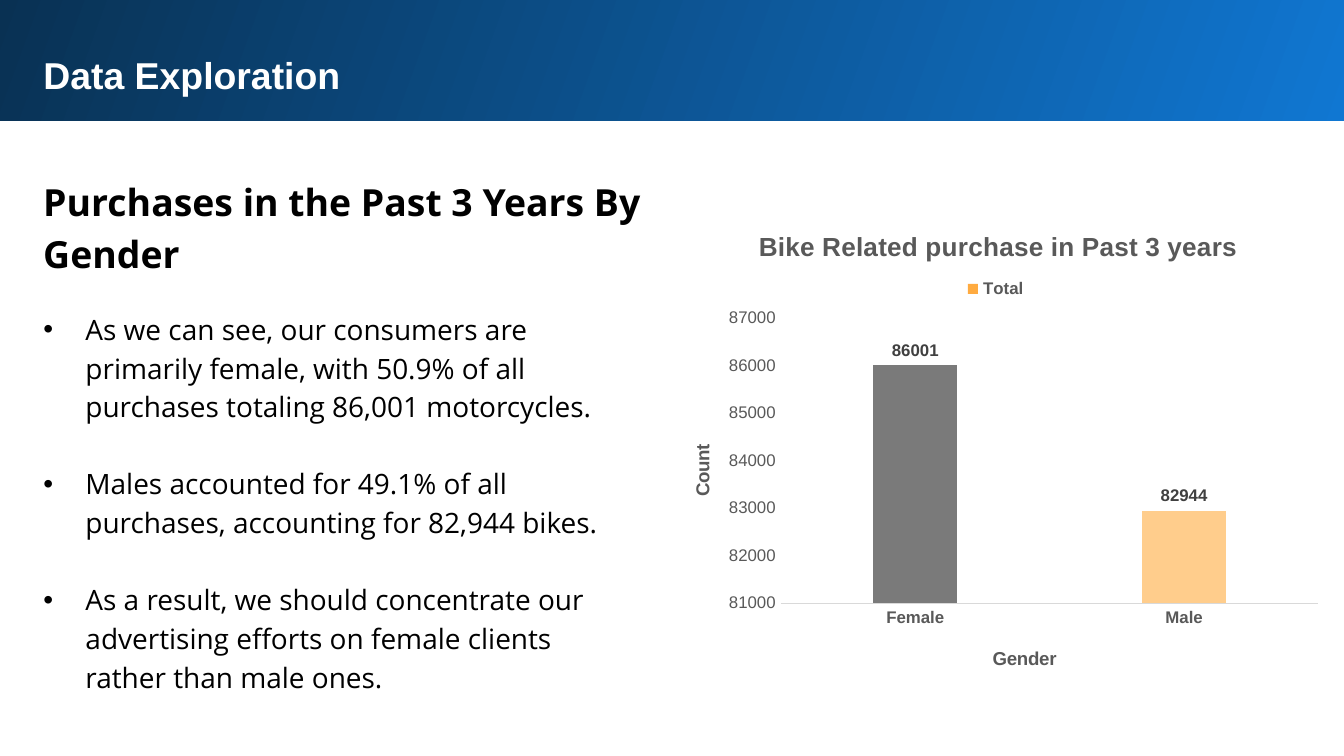
import pptx
import pptx.util
import pptx.chart.data
import pptx.dml.color
import pptx.enum.chart
import pptx.enum.shapes
import pptx.enum.text
import pptx.oxml

Pt = pptx.util.Pt
PX = 914400 / 134.4
COLORS = {"sky": "1077D2", "navy": "093153", "white": "FFFFFF", "black": "000000",
          "text": "595959", "label": "404040", "axis": "D9D9D9",
          "total": "FFAB40", "female": "7A7A7A", "male": "FFCD8C"}
CHART_BOX = (660, 200, 672, 492)


def style(font, size, color, bold=False, name="Arial"):
    font.size, font.bold, font.name = Pt(size), bold, name
    font.color.rgb = pptx.dml.color.RGBColor.from_string(COLORS[color])


def set_layout(parent, x, y, w=None, h=None):
    left, top, width, height = CHART_BOX
    values = [("x", (x - left) / width), ("y", (y - top) / height)]
    tags = '<c:layoutTarget val="inner"/>' if w else ""
    tags += '<c:xMode val="edge"/><c:yMode val="edge"/>'
    if w:
        values += [("w", w / width), ("h", h / height)]
    tags += "".join(f'<c:{k} val="{v:.2f}"/>' for k, v in values)
    layout = pptx.oxml.parse_xml(
        '<c:layout xmlns:c="http://schemas.openxmlformats.org/drawingml/2006/chart">'
        f"<c:manualLayout>{tags}</c:manualLayout></c:layout>")
    for old in parent.findall(layout.tag):
        parent.remove(old)
    names = [child.tag.split("}")[1] for child in parent]
    before = [i for i, n in enumerate(names) if n in ("tx", "legendPos", "legendEntry")]
    parent.insert(before[-1] + 1 if before else 0, layout)


prs = pptx.Presentation()
prs.slide_width, prs.slide_height = round(1344 * PX), round(756 * PX)
s = prs.slides.add_slide(prs.slide_layouts[1])

band = s.shapes.add_shape(pptx.enum.shapes.MSO_SHAPE.RECTANGLE,
                          *(round(v * PX) for v in (-3, -3, 1351, 124)))
band.shadow.inherit = False
band.line.fill.background()
band.fill.gradient()
band.fill.gradient_angle = 160
for stop, color in zip(band.fill.gradient_stops, ("sky", "navy")):
    stop.color.rgb = pptx.dml.color.RGBColor.from_string(COLORS[color])
s.shapes._spTree.insert(2, band._element)

title, body = s.placeholders
heading = s.shapes.add_textbox(0, 0, 0, 0)
blocks = [
    (title, (30, 39, 1259, 73), ["Data Exploration"], 20, "white", True, "Arial", 1),
    (heading, (30, 159, 642, 128), ["Purchases in the Past 3 Years By Gender"],
     20, "black", True, "Open Sans", 1.15),
    (body, (30, 294, 607, 454), [
        "As we can see, our consumers are primarily female, with 50.9% of all "
        "purchases totaling 86,001 motorcycles.",
        "Males accounted for 49.1% of all purchases, accounting for 82,944 bikes.",
        "As a result, we should concentrate our advertising efforts on female "
        "clients rather than male ones."], 15, "black", False, "Open Sans", 1.15),
]
for sp, box, lines, size, color, bold, name, spacing in blocks:
    sp.left, sp.top, sp.width, sp.height = (round(v * PX) for v in box)
    tf = sp.text_frame
    tf.text = "\n".join(lines)
    tf.word_wrap = True
    tf.auto_size = pptx.enum.text.MSO_AUTO_SIZE.NONE
    tf.vertical_anchor = pptx.enum.text.MSO_ANCHOR.TOP
    tf.margin_left = tf.margin_top = tf.margin_right = tf.margin_bottom = pptx.util.Inches(0.1)
    for i, p in enumerate(tf.paragraphs):
        style(p.font, size, color, bold, name)
        p.alignment = pptx.enum.text.PP_ALIGN.LEFT
        p.line_spacing = spacing
        p.space_before = Pt(20.7 if i else 0)
for p in body.text_frame.paragraphs:
    pPr = p._p.get_or_add_pPr()
    pPr.set("marL", str(round(42 * PX)))
    pPr.set("indent", str(round(-42 * PX)))

data = pptx.chart.data.CategoryChartData()
data.categories = ["Female", "Male"]
data.add_series("Total", (86001, 82944))
chart = s.shapes.add_chart(pptx.enum.chart.XL_CHART_TYPE.COLUMN_CLUSTERED,
                           *(round(v * PX) for v in CHART_BOX), data).chart
style(chart.font, 10, "black")
plot = chart.plots[0]
plot.gap_width, plot.overlap, plot.vary_by_categories = 219, -27, False
series = plot.series[0]
for item, color in ((series, "total"), (series.points[0], "female"), (series.points[1], "male")):
    item.format.fill.solid()
    item.format.fill.fore_color.rgb = pptx.dml.color.RGBColor.from_string(COLORS[color])
labels = series.data_labels
labels.show_value = True
labels.position = pptx.enum.chart.XL_LABEL_POSITION.OUTSIDE_END
style(labels.font, 9, "label", True)

cat_axis, val_axis = chart.category_axis, chart.value_axis
val_axis.minimum_scale, val_axis.maximum_scale, val_axis.major_unit = 81000, 87000, 1000
val_axis.has_major_gridlines = False
val_axis.format.line.fill.background()
cat_axis.format.line.color.rgb = pptx.dml.color.RGBColor.from_string(COLORS["axis"])
cat_axis.format.line.width = Pt(0.75)
for axis, bold in ((cat_axis, True), (val_axis, False)):
    axis.major_tick_mark = axis.minor_tick_mark = pptx.enum.chart.XL_TICK_MARK.NONE
    style(axis.tick_labels.font, 9, "text", bold)

for owner, text, size, x, y in ((chart, "Bike Related purchase in Past 3 years", 14, 756, 224),
                                (cat_axis, "Gender", 10, 992, 643),
                                (val_axis, "Count", 10, 690, 443)):
    owner.has_title = True
    caption = owner.chart_title if owner is chart else owner.axis_title
    caption.text_frame.text = text
    style(caption.text_frame.paragraphs[0].font, size, "text", True)
    set_layout(caption._element, x, y)
bodyPr = val_axis.axis_title.text_frame._txBody.bodyPr
bodyPr.set("rot", "-5400000")
bodyPr.set("vert", "horz")

chart.has_legend = True
chart.legend.position = pptx.enum.chart.XL_LEGEND_POSITION.TOP
chart.legend.include_in_layout = False
style(chart.legend.font, 9, "text", True)
set_layout(chart.legend._element, 963, 274)
set_layout(chart._chartSpace.chart.plotArea, 781, 320, 537, 284)

prs.save("out.pptx")
